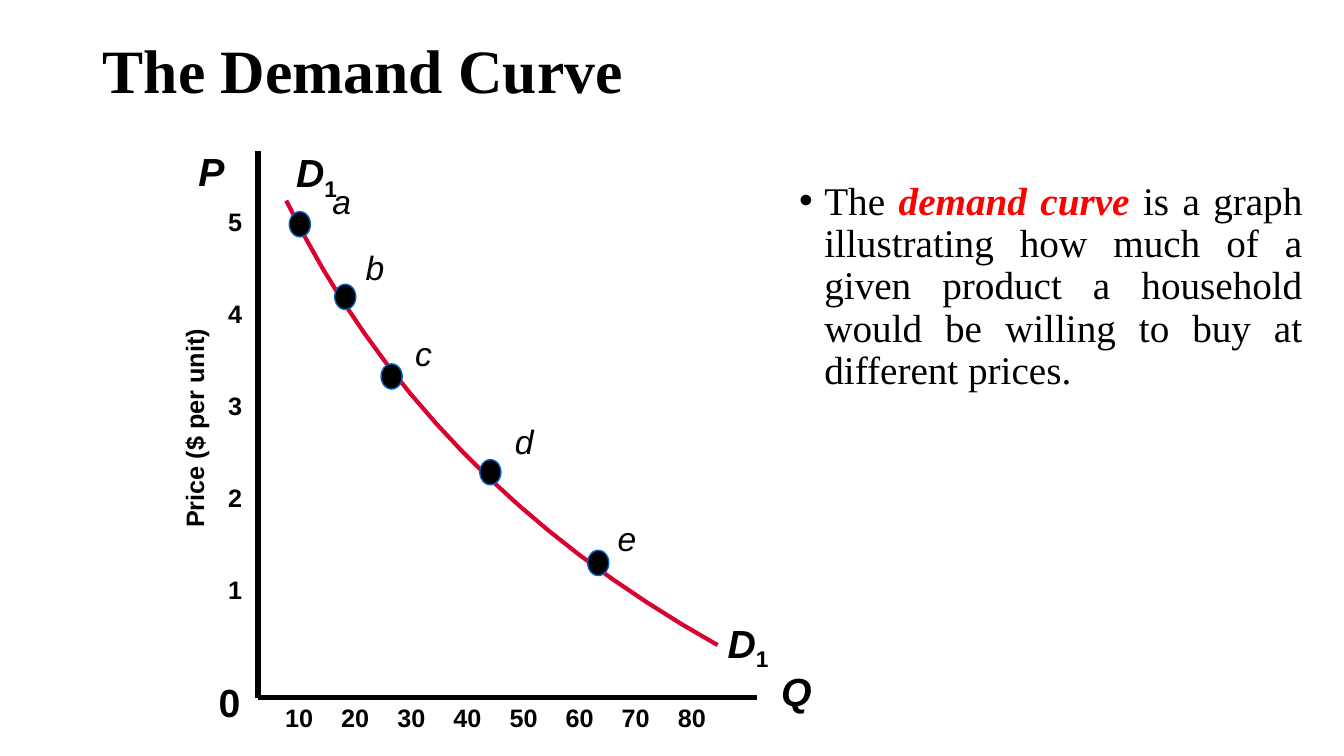
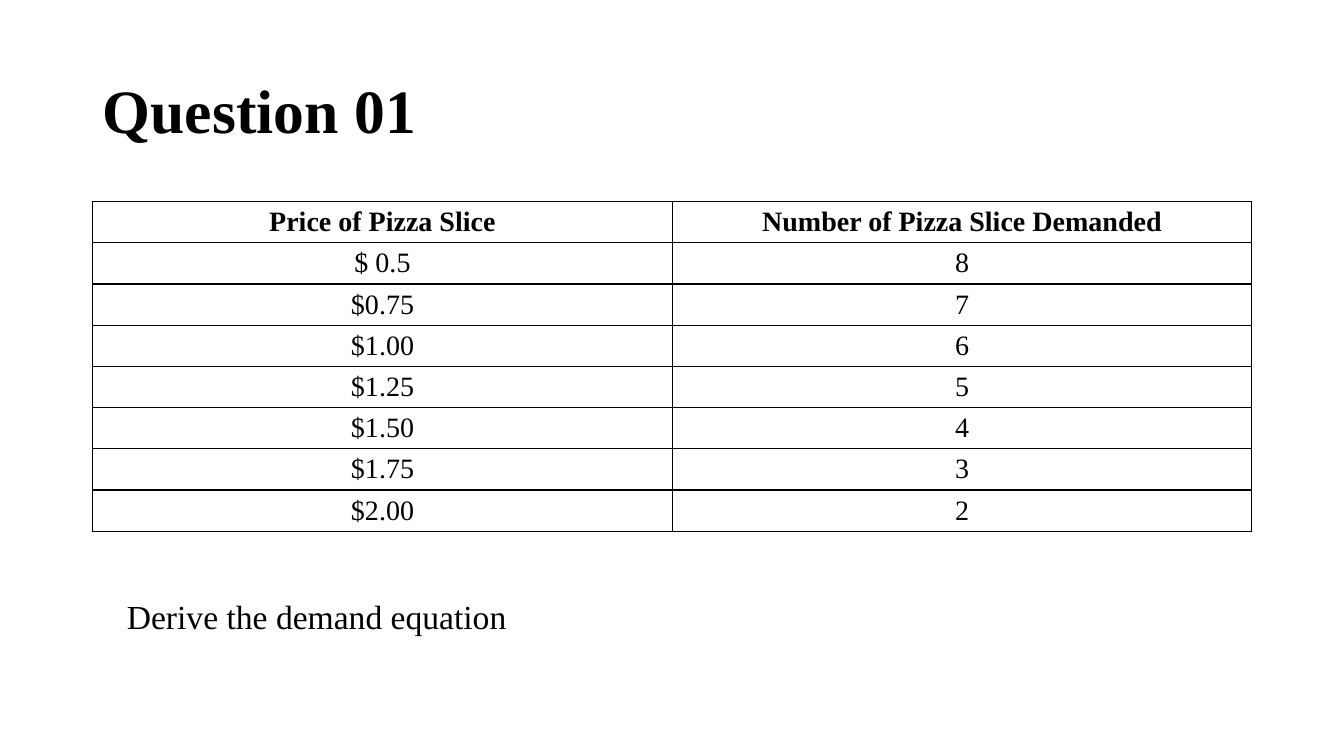
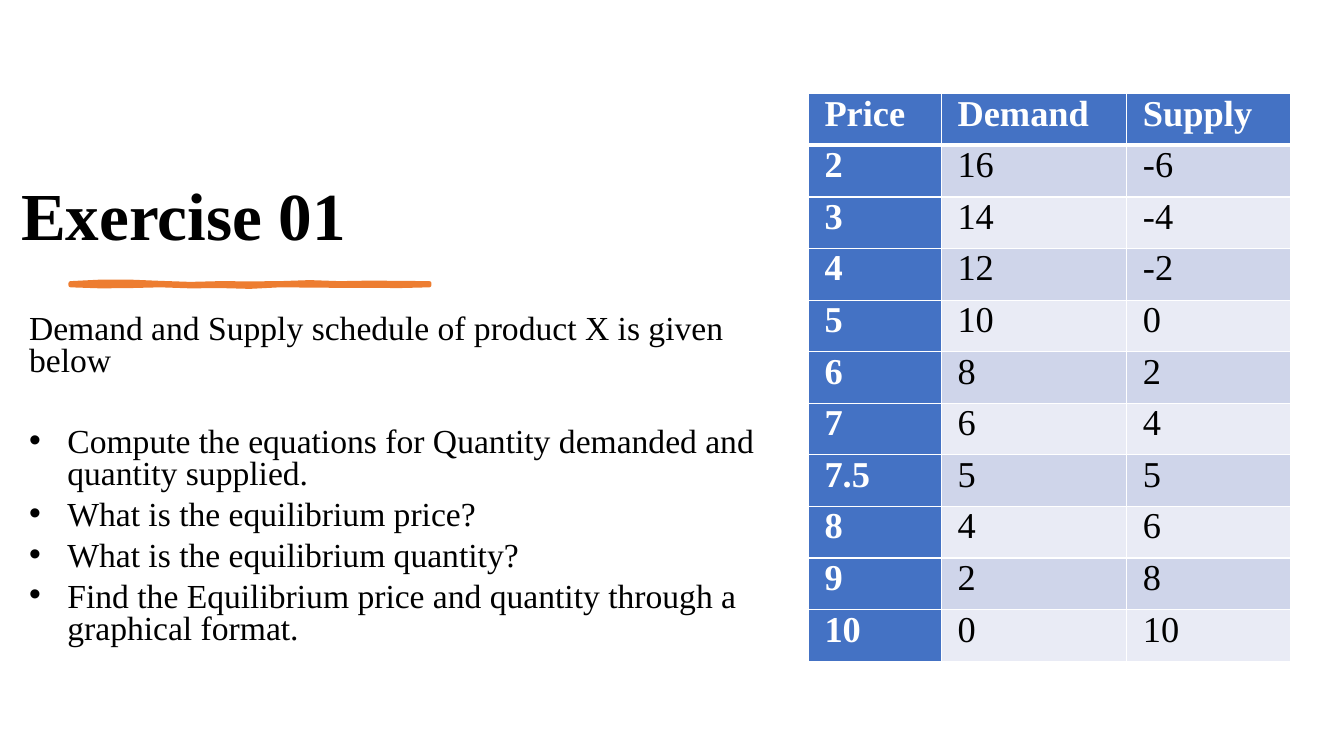
from dataclasses import dataclass

from lxml.etree import SubElement
from pptx import Presentation
from pptx.chart.data import CategoryChartData
from pptx.dml.color import RGBColor
from pptx.enum.shapes import MSO_CONNECTOR as Connector, MSO_SHAPE as Shape
from pptx.enum.text import MSO_ANCHOR as Anchor, MSO_AUTO_SIZE as AutoSize, PP_ALIGN as Align
from pptx.oxml.ns import qn
from pptx.util import Inches, Pt


@dataclass(frozen=True)
class Theme:
    ink: str = "000000"
    paper: str = "FFFFFF"
    accent: str = "FF0000"
    curve: str = "DA0030"
    dot_edge: str = "0563C1"
    brush: str = "ED7D31"
    header: str = "4472C4"
    bands: tuple = ("CFD5EA", "E9EBF5")
    serif: str = "Times New Roman"
    sans: str = "Arial"
    title: int = 44
    big_title: int = 48
    body: int = 28
    text: int = 24
    tick: int = 18
    cell: int = 20
    big_cell: int = 26


theme = Theme()
deck = Presentation()
deck.slide_width, deck.slide_height = Inches(13.333), Inches(7.5)
COLUMN, ROW = deck.slide_width / 40, deck.slide_height / 30


def grid(*cells):
    return [round(cell * (ROW if index % 2 else COLUMN)) for index, cell in enumerate(cells)]


def write(frame, text, size, font=theme.serif, bold=False, italic=False,
          color=theme.ink, align=Align.LEFT):
    frame.text = text
    frame.word_wrap = True
    for para in frame.paragraphs:
        para.alignment = align
        for span in para.runs:
            span.font.name, span.font.size = font, Pt(size)
            span.font.bold, span.font.italic = bold, italic
            span.font.color.rgb = RGBColor.from_string(color)
    return frame


pages = []
for heading, at, size, anchor in (
    ("The Demand Curve", (2.76, 0, 34.5, 5.8), theme.title, Anchor.MIDDLE),
    ("Question 01", (2.76, 1.6, 34.5, 5.8), theme.title, Anchor.MIDDLE),
    ("Exercise 01", (0.33, 2.8, 21.75, 7.52), theme.big_title, Anchor.BOTTOM),
):
    page = deck.slides.add_slide(deck.slide_layouts[5])
    title = page.shapes.title
    title.left, title.top, title.width, title.height = grid(*at)
    frame = write(title.text_frame, heading, size, bold=True)
    frame.vertical_anchor, frame.auto_size = anchor, AutoSize.NONE
    frame.paragraphs[0].line_spacing = 0.9
    pages.append(page)
curve_page, question_page, exercise_page = pages
bulleted = []

shapes = curve_page.shapes
box = shapes.add_textbox(*grid(23.49, 7, 15.57, 11.32))
para = write(box.text_frame, "The ", theme.body, align=Align.JUSTIFY).paragraphs[0]
para.line_spacing = 0.9
for text, color, strong in (
    ("demand curve ", theme.accent, True),
    ("is a graph illustrating how much of a given product a household would be "
     "willing to buy at different prices.", theme.ink, False),
):
    span = para.add_run()
    span.text = text
    span.font.name, span.font.size = theme.serif, Pt(theme.body)
    span.font.bold = span.font.italic = strong
    span.font.color.rgb = RGBColor.from_string(color)
bulleted.append((para, 0.75))

start, bend, end = (8.52, 7.96), (12.57, 19.04), (21.36, 25.6)
steps = 16
points = [
    grid(*((1 - t) ** 2 * a + 2 * t * (1 - t) * b + t ** 2 * c for a, b, c in zip(start, bend, end)))
    for t in (step / steps for step in range(steps + 1))
]
builder = shapes.build_freeform(*points[0])
builder.add_line_segments(points[1:], close=False)
demand = builder.convert_to_shape()
demand.shadow.inherit = False
demand.fill.background()
demand.line.color.rgb = RGBColor.from_string(theme.curve)
demand.line.width = Pt(3)

for left, top in ((21.36, 24.36), (8.52, 5.68)):
    box = shapes.add_textbox(*grid(left, top, 2.1, 2.28))
    para = write(box.text_frame, "D", theme.body, theme.sans, True, True).paragraphs[0]
    span = para.add_run()
    span.text = "1"
    span.font.name, span.font.size, span.font.bold = theme.sans, Pt(theme.body), True
    span.font.color.rgb = RGBColor.from_string(theme.ink)
    span.font._element.set("baseline", "-25000")

for name, left, top, italic in (("P", 5.61, 5.64, True), ("Q", 22.95, 26.28, True), ("0", 6.21, 26.72, False)):
    box = shapes.add_textbox(*grid(left, top, 1.5, 2.28))
    write(box.text_frame, name, theme.body, theme.sans, True, italic)

box = shapes.add_textbox(*grid(6.18, 8, 1.32, 16.16))
prices = write(box.text_frame, "5\n4\n3\n2\n1", theme.tick, theme.sans, True, align=Align.RIGHT)
for para in prices.paragraphs[:-1]:
    para.space_after = Pt(44)

box = shapes.add_textbox(*grid(8.19, 27.68, 15, 1.6))
quantities = range(10, 90, 10)
para = write(box.text_frame, "\t".join(map(str, quantities)), theme.tick, theme.sans, True).paragraphs[0]
stops = SubElement(para._p.get_or_add_pPr(), qn("a:tabLst"))
for index in range(1, len(quantities)):
    SubElement(stops, qn("a:tab"), pos=str(round(index * 1.67 * COLUMN)), algn="l")

for name, left, top, label_left, label_top in (
    ("a", 8.61, 8.4, 9.6, 7),
    ("b", 9.96, 11.28, 10.59, 9.6),
    ("c", 11.34, 14.44, 12.06, 13),
    ("d", 14.28, 18.24, 15.03, 16.52),
    ("e", 17.49, 21.84, 18.09, 20.36),
):
    dot = shapes.add_shape(Shape.OVAL, *grid(left, top, 0.63, 1))
    dot.shadow.inherit = False
    dot.fill.solid()
    dot.fill.fore_color.rgb = RGBColor.from_string(theme.ink)
    dot.line.color.rgb = RGBColor.from_string(theme.dot_edge)
    dot.line.width = Pt(1)
    box = shapes.add_textbox(*grid(label_left, label_top, 1.2, 2))
    write(box.text_frame, name, theme.text, theme.sans, italic=True)

origin = (7.68, 27.68)
for tip in ((7.68, 6), (22.53, 27.68)):
    axis = shapes.add_connector(Connector.STRAIGHT, *grid(*origin, *tip))
    axis.line.color.rgb = RGBColor.from_string(theme.ink)
    axis.line.width = Pt(4)
    SubElement(axis._element.spPr, qn("a:effectLst"))

box = shapes.add_textbox(*grid(1.62, 15, 8.31, 1.6))
box.rotation = 270
write(box.text_frame, "Price ($ per unit)", theme.tick, theme.sans, True).vertical_anchor = Anchor.MIDDLE

schedule = [("Price of Pizza Slice", "Number of Pizza Slice Demanded")] + list(zip(
    ("$ 0.5", "$0.75", "$1.00", "$1.25", "$1.50", "$1.75", "$2.00"), "8765432"))
pizza = question_page.shapes.add_table(len(schedule), 2, *grid(2.76, 8, 34.5, 13.04)).table
for row, values in enumerate(schedule):
    for column, value in enumerate(values):
        cell = pizza.cell(row, column)
        cell.fill.background()
        write(cell.text_frame, value, theme.cell, bold=row == 0, align=Align.CENTER)
box = question_page.shapes.add_textbox(*grid(3.48, 23.44, 14, 2))
write(box.text_frame, "Derive the demand equation", theme.text)

upper = (11.24, 11.18, 11.18, 11.23, 11.27, 11.24, 11.25, 11.24, 11.2, 11.24, 11.22, 11.23, 11.24)
lower = (11.32, 11.36, 11.35, 11.32, 11.36, 11.35, 11.38, 11.32, 11.33, 11.34, 11.34, 11.35, 11.32)
edges = [[grid(2.1 + 0.89 * index, y) for index, y in enumerate(edge)] for edge in (upper, lower)]
outline = edges[0] + edges[1][::-1]
builder = exercise_page.shapes.build_freeform(*outline[0])
builder.add_line_segments(outline[1:], close=True)
stroke = builder.convert_to_shape()
stroke.shadow.inherit = False
stroke.fill.solid()
stroke.fill.fore_color.rgb = stroke.line.color.rgb = RGBColor.from_string(theme.brush)
stroke.line.width = Pt(3)

box = exercise_page.shapes.add_textbox(*grid(0.57, 12.28, 22.95, 14.92))
tasks = write(box.text_frame, "\n".join((
    "Demand and Supply schedule of product X is given below",
    "Compute the equations for Quantity demanded and quantity supplied.",
    "What is the equilibrium price?",
    "What is the equilibrium quantity?",
    "Find the Equilibrium price and quantity through a graphical format.",
)), theme.text).paragraphs
for para in tasks:
    para.line_spacing, para.space_after = 0.8, Pt(6)
tasks[0].space_after = Pt(35)
bulleted += [(para, 1.14) for para in tasks[1:]]

market = [("Price", "Demand", "Supply")] + list(zip(
    ("2", "3", "4", "5", "6", "7", "7.5", "8", "9", "10"),
    ("16", "14", "12", "10", "8", "6", "5", "4", "2", "0"),
    ("-6", "-4", "-2", "0", "2", "4", "5", "6", "8", "10")))
balance = exercise_page.shapes.add_table(len(market), 3, *grid(24.06, 3.72, 14.34, 22.52)).table
for column, width in zip(balance.columns, (3.96, 5.52, 4.86)):
    column.width = round(width * COLUMN)
for row, values in enumerate(market):
    for column, value in enumerate(values):
        cell = balance.cell(row, column)
        heading = row == 0 or column == 0
        cell.margin_left = cell.margin_right = round(0.48 * COLUMN)
        cell.margin_top = cell.margin_bottom = 0
        cell.fill.solid()
        cell.fill.fore_color.rgb = RGBColor.from_string(theme.header if heading else theme.bands[(row - 1) % 2])
        write(cell.text_frame, value, theme.big_cell, bold=heading, color=theme.paper if heading else theme.ink)

for table, color, header_rule in ((pizza, theme.ink, 1), (balance, theme.paper, 3)):
    for row in range(len(table.rows)):
        for column in range(len(table.columns)):
            properties = table.cell(row, column)._tc.get_or_add_tcPr()
            for index, side in enumerate(("lnL", "lnR", "lnT", "lnB")):
                under_header = (row, side) in ((0, "lnB"), (1, "lnT"))
                border = SubElement(properties, qn("a:" + side), w=str(Pt(header_rule if under_header else 1)))
                properties.insert(index, border)
                SubElement(SubElement(border, qn("a:solidFill")), qn("a:srgbClr"), val=color)

for para, indent in bulleted:
    properties = para._p.get_or_add_pPr()
    hang = round(indent * COLUMN)
    properties.set("marL", str(hang))
    properties.set("indent", str(-hang))
    SubElement(properties, qn("a:buFont"), typeface=theme.sans)
    SubElement(properties, qn("a:buChar"), char="•")

deck.save("out.pptx")
